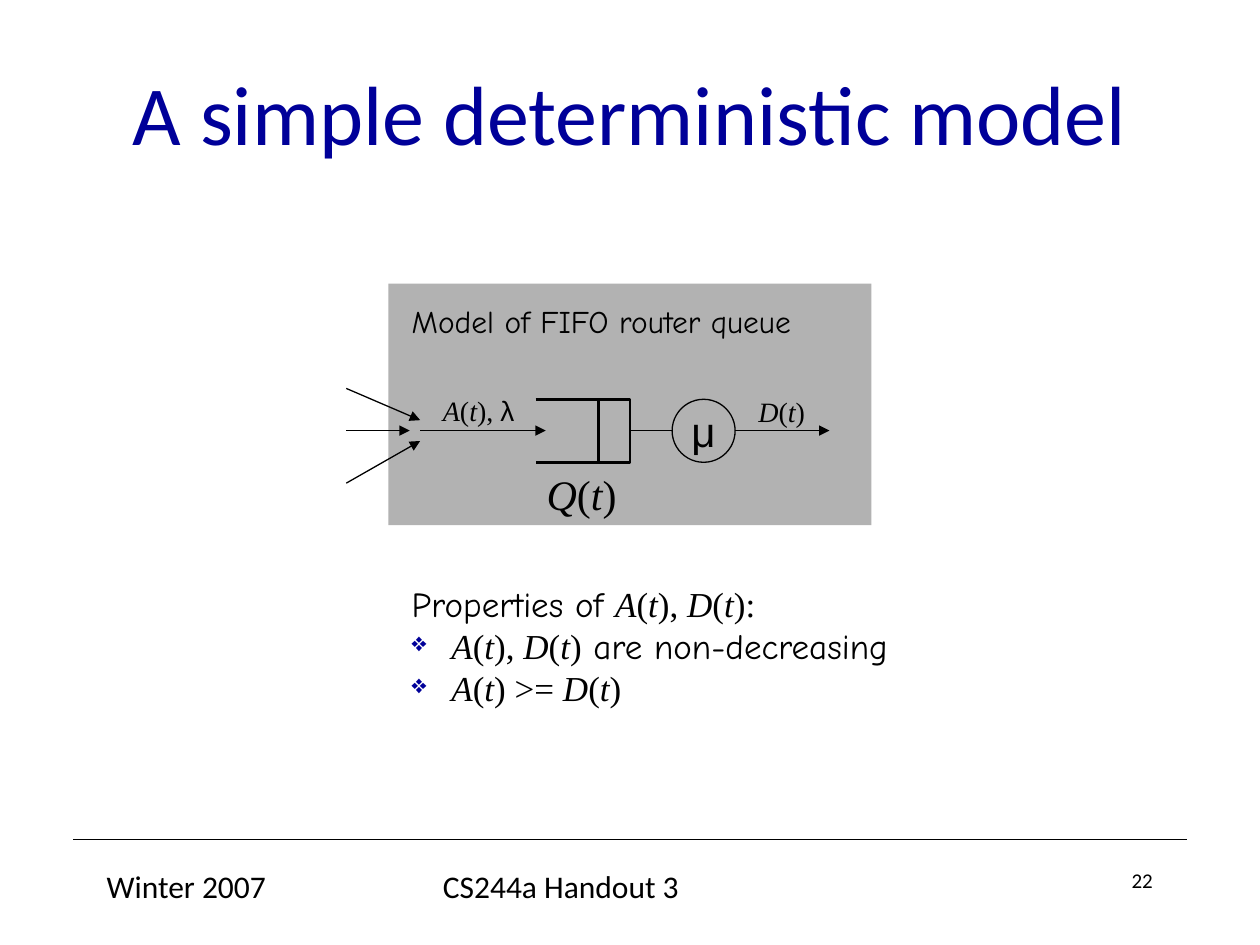
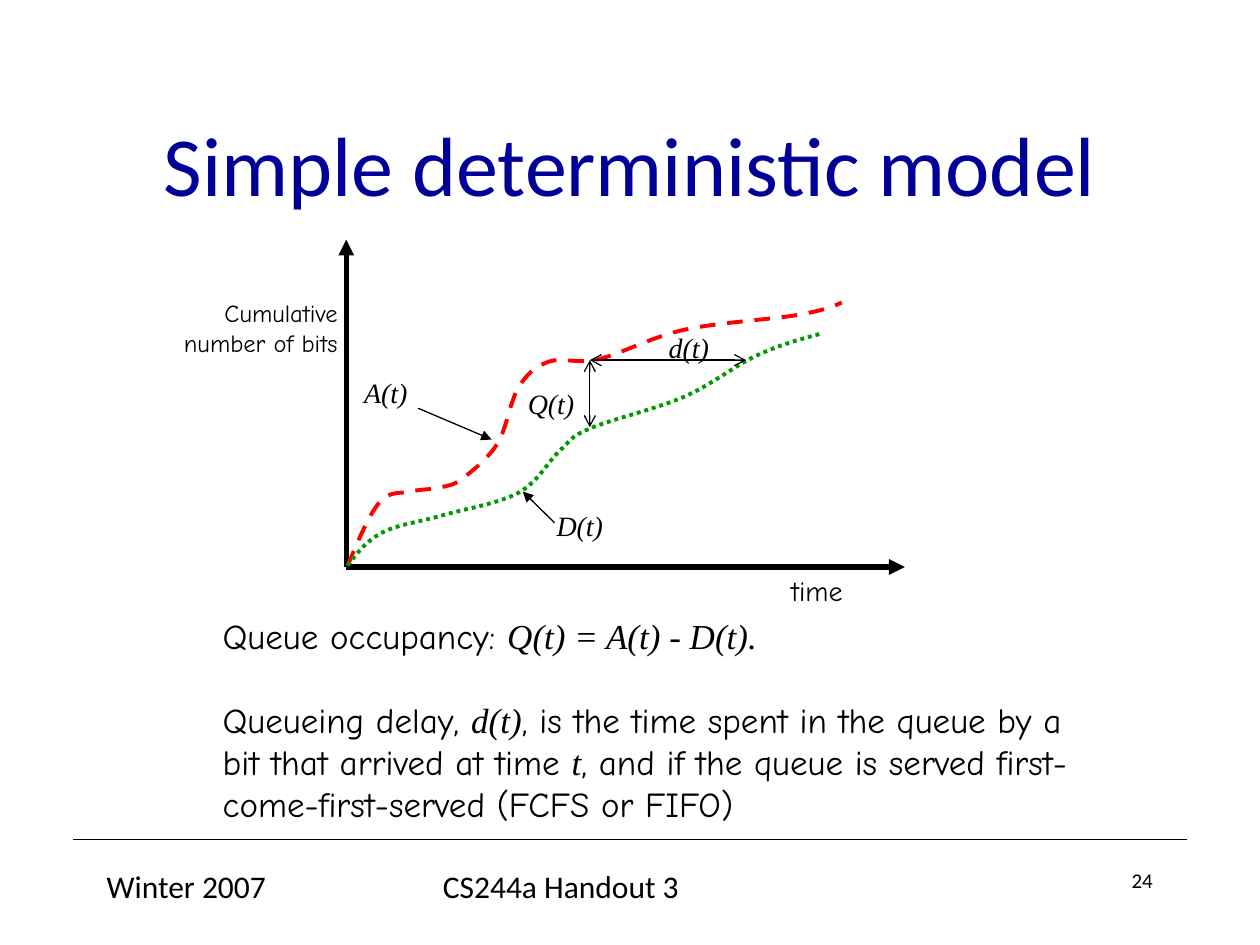
from itertools import groupby

from pptx import Presentation
from pptx.dml.color import RGBColor
from pptx.enum.dml import MSO_LINE
from pptx.enum.shapes import MSO_CONNECTOR, MSO_SHAPE
from pptx.enum.text import MSO_ANCHOR, PP_ALIGN
from pptx.oxml.ns import qn
from pptx.oxml.xmlchemy import OxmlElement
from pptx.util import Cm, Pt

STRAIGHT = MSO_CONNECTOR.STRAIGHT
RECT, OVAL = MSO_SHAPE.RECTANGLE, MSO_SHAPE.OVAL
LEFT, CENTER, RIGHT = PP_ALIGN.LEFT, PP_ALIGN.CENTER, PP_ALIGN.RIGHT
MIDDLE = MSO_ANCHOR.MIDDLE
DASH, DOTS = MSO_LINE.DASH, MSO_LINE.ROUND_DOT

COLORS = {
    "title": "000099",
    "ink": "000000",
    "panel": "B2B2B2",
    "arrivals": "FF0000",
    "departures": "009900",
}
SANS, HAND, SERIF, SYMBOL = "Calibri", "Comic Neue", "Times New Roman", "Arial"
TITLE_ONLY = 5


def rgb(name):
    return RGBColor.from_string(COLORS[name])


def add_child(parent, tag, **attrs):
    child = OxmlElement(tag)
    for key, value in attrs.items():
        child.set(key, value)
    parent.append(child)
    return child


def hand(text):
    return [(text, HAND, False)]


def italic(text):
    return [(text, SERIF, True)]


def math(text):
    return [("".join(group), SERIF, letters)
            for letters, group in groupby(text, str.isalpha)]


def write(p, runs, size, color="ink", align=LEFT):
    p.alignment = align
    p.font.size = Pt(size)
    p.font.color.rgb = rgb(color)
    fonts = {font for _, font, _ in runs}
    slants = {slant for _, _, slant in runs}
    if len(fonts) == 1:
        p.font.name = runs[0][1]
    if len(slants) == 1:
        p.font.italic = runs[0][2]
    for text, font, slant in runs:
        r = p.add_run()
        r.text = text
        if len(fonts) > 1:
            r.font.name = font
        if len(slants) > 1:
            r.font.italic = slant


def add_text(s, box, paragraphs, size, align=LEFT, wrap=True):
    tf = s.shapes.add_textbox(*map(Cm, box)).text_frame
    tf.word_wrap = wrap
    for i, runs in enumerate(paragraphs):
        p = tf.add_paragraph() if i else tf.paragraphs[0]
        write(p, runs, size, align=align)
    return tf


def add_bullet(p):
    pPr = p._p.get_or_add_pPr()
    pPr.set("marL", str(Cm(0.8)))
    pPr.set("indent", str(-Cm(0.8)))
    bullet = [OxmlElement("a:buClr"), OxmlElement("a:buSzPct"),
              OxmlElement("a:buChar")]
    add_child(bullet[0], "a:srgbClr", val=COLORS["title"])
    bullet[1].set("val", "75000")
    bullet[2].set("char", "❖")
    for element in bullet:
        pPr.find(qn("a:defRPr")).addprevious(element)


def set_line(sp, color, width):
    sp.line.color.rgb = rgb(color)
    sp.line.width = Pt(width)


def add_line(s, start, end, width=0.75, head=None, tail=None):
    sp = s.shapes.add_connector(STRAIGHT, *map(Cm, start + end))
    set_line(sp, "ink", width)
    ln = sp.line._get_or_add_ln()
    if head:
        add_child(ln, "a:headEnd", type=head)
    if tail:
        add_child(ln, "a:tailEnd", type=tail)
    add_child(sp._element.spPr, "a:effectLst")


def add_arrow(s, start, end, width=0.75):
    add_line(s, start, end, width, tail="triangle")


def add_shape(s, kind, box, fill=None):
    sp = s.shapes.add_shape(kind, *map(Cm, box))
    sp.shadow.inherit = False
    if fill:
        sp.fill.solid()
        sp.fill.fore_color.rgb = rgb(fill)
        sp.line.fill.background()
    else:
        sp.fill.background()
        set_line(sp, "ink", 0.75)
    return sp


def add_outline(s, points, color, width):
    points = [(Cm(x), Cm(y)) for x, y in points]
    builder = s.shapes.build_freeform(*points[0])
    builder.add_line_segments(points[1:], close=False)
    sp = builder.convert_to_shape()
    sp.shadow.inherit = False
    sp.fill.background()
    set_line(sp, color, width)
    return sp


def midpoint(a, b):
    return (a[0] + b[0]) / 2, (a[1] + b[1]) / 2


def bezier_points(knots):
    before, after = [], []
    for (x0, y0), (x, y), (x1, y1) in zip(knots, knots[1:], knots[2:]):
        dx, dy = (x1 - x0) / 6, (y1 - y0) / 6
        before.append((x - dx, y - dy))
        after.append((x + dx, y + dy))
    after.insert(0, midpoint(knots[0], before[0]))
    before.append(midpoint(knots[-1], after[-1]))
    points = [knots[0]]
    for segment in zip(after, before, knots[1:]):
        points.extend(segment)
    return points


def add_curve(s, knots, color, dash):
    sp = add_outline(s, bezier_points(knots), color, 2.25)
    sp.line.dash_style = dash
    lines = list(sp._element.iter(qn("a:lnTo")))
    for i in range(0, len(lines), 3):
        curve = OxmlElement("a:cubicBezTo")
        lines[i].addprevious(curve)
        for line in lines[i:i + 3]:
            curve.append(line[0])
            line.getparent().remove(line)


def add_slide(prs, title, top, number, bottom_inset=0.13):
    s = prs.slides.add_slide(prs.slide_layouts[TITLE_ONLY])
    sp = s.shapes.title
    sp.left, sp.top, sp.width, sp.height = map(Cm, (1.9, top, 21.59, 3.18))
    tf = sp.text_frame
    tf.vertical_anchor = MIDDLE
    tf.margin_bottom = Cm(bottom_inset)
    write(tf.paragraphs[0], [(title, SANS, False)], 48, "title", CENTER)
    add_line(s, (1.48, 16.93), (23.92, 16.93))
    for text, left, width, size, align in (
        ("Winter 2007", 1.9, 5.29, 18, LEFT),
        ("CS244a Handout 3", 8.68, 8.04, 18, LEFT),
        (str(number), 18.2, 5.29, 12, RIGHT),
    ):
        add_text(s, (left, 17.36, width, 1.27), [[(text, SANS, False)]],
                 size, align)
    return s


def build_queue_slide(prs):
    s = add_slide(prs, "A simple deterministic model", 1.27, 22, 1.32)
    tf = add_text(s, (8.05, 11.61, 12.5, 2.79), [
        hand("Properties of ") + math("A(t), D(t):"),
        math("A(t), D(t)") + hand(" are non-decreasing"),
        math("A(t) >= D(t)"),
    ], 20)
    for p in tf.paragraphs[1:]:
        add_bullet(p)

    add_shape(s, RECT, (7.83, 5.72, 9.74, 4.87), "panel")
    top, side, axis = 8.05, 1.27, 8.68
    bottom = top + side
    add_outline(s, [(10.8, top), (12.7, top), (12.7, bottom), (10.8, bottom)],
                "ink", 1.5)
    add_line(s, (12.07, top), (12.07, bottom), 1.5)

    server = add_shape(s, OVAL, (13.55, top, side, side))
    tf = server.text_frame
    tf.word_wrap = False
    tf.vertical_anchor = MIDDLE
    write(tf.paragraphs[0], [("μ", SYMBOL, False)], 24, align=CENTER)

    add_line(s, (12.7, axis), (13.55, axis))
    for start, end in (
        ((14.82, axis), (16.72, axis)),
        ((8.47, axis), (11, axis)),
        ((6.98, 7.83), (8.47, 8.47)),
        ((6.98, axis), (8.26, axis)),
        ((6.98, 9.74), (8.47, 8.89)),
    ):
        add_arrow(s, start, end)

    for box, runs, size in (
        ((8.68, 7.81, 1.99, 0.94),
         math("A(t), ") + [("λ", SYMBOL, False)], 16),
        ((15.04, 7.83, 1.45, 0.94), math("D(t)"), 16),
        ((8.05, 5.97, 8.94, 1.02), hand("Model of FIFO router queue"), 18),
        ((10.77, 9.32, 1.93, 1.27), math("Q(t)"), 24),
    ):
        add_text(s, box, [runs], size, wrap=False)


def build_graph_slide(prs):
    s = add_slide(prs, "Simple deterministic model", 1.69, 24)
    origin = (6.98, 11.43)
    add_arrow(s, origin, (18.24, 11.43), 3)
    add_arrow(s, origin, (6.98, 4.83), 3)

    add_curve(s, [
        (7.01, 11.4), (7.65, 10.13), (8.28, 9.91), (8.86, 9.83),
        (9.32, 9.65), (10.03, 8.94), (10.46, 7.8), (11.07, 7.29),
        (12.07, 7.24), (13.79, 6.65), (16.08, 6.35), (16.97, 6.1),
    ], "arrivals", DASH)
    add_curve(s, [
        (7.01, 11.4), (7.7, 10.74), (8.92, 10.39), (10.46, 9.93),
        (11.3, 9.07), (11.89, 8.64), (13.79, 8), (15.27, 7.16),
        (16.54, 6.73),
    ], "departures", DOTS)

    for end in ((11.89, 8.61), (15.04, 7.26)):
        add_line(s, (11.89, 7.26), end, head="arrow", tail="arrow")
    add_arrow(s, (8.43, 8.23), (9.91, 8.86))
    add_arrow(s, (11.18, 10.54), (10.54, 9.91))

    for left, top, width, runs in (
        (10.97, 10.13, 1.8, italic("D(t)")),
        (7.09, 7.44, 1.63, italic("A(t)")),
        (10.39, 7.67, 1.8, italic("Q(t)")),
        (13.23, 6.53, 1.8, italic("d(t)")),
        (15.7, 11.43, 2.69, hand("time")),
    ):
        add_text(s, (left, top, width, 0.94), [runs], 16)
    add_text(s, (3.15, 5.89, 3.91, 1.45),
             [hand("Cumulative"), hand("number of bits")], 14, RIGHT, False)

    tf = add_text(s, (4.24, 12.27, 17.98, 4.5), [
        hand("Queue occupancy: ") + italic("Q(t) = A(t) - D(t)."),
        hand("Queueing delay, ") + italic("d(t)")
        + hand(", is the time spent in the queue by a bit that arrived "
               "at time ") + italic("t")
        + hand(", and if the queue is served first-come-first-served "
               "(FCFS or FIFO)"),
    ], 20)
    tf.paragraphs[1].space_before = Pt(24)


def main():
    prs = Presentation()
    prs.slide_width, prs.slide_height = Cm(25.4), Cm(19.05)
    build_queue_slide(prs)
    build_graph_slide(prs)
    prs.save("out.pptx")


if __name__ == "__main__":
    main()
